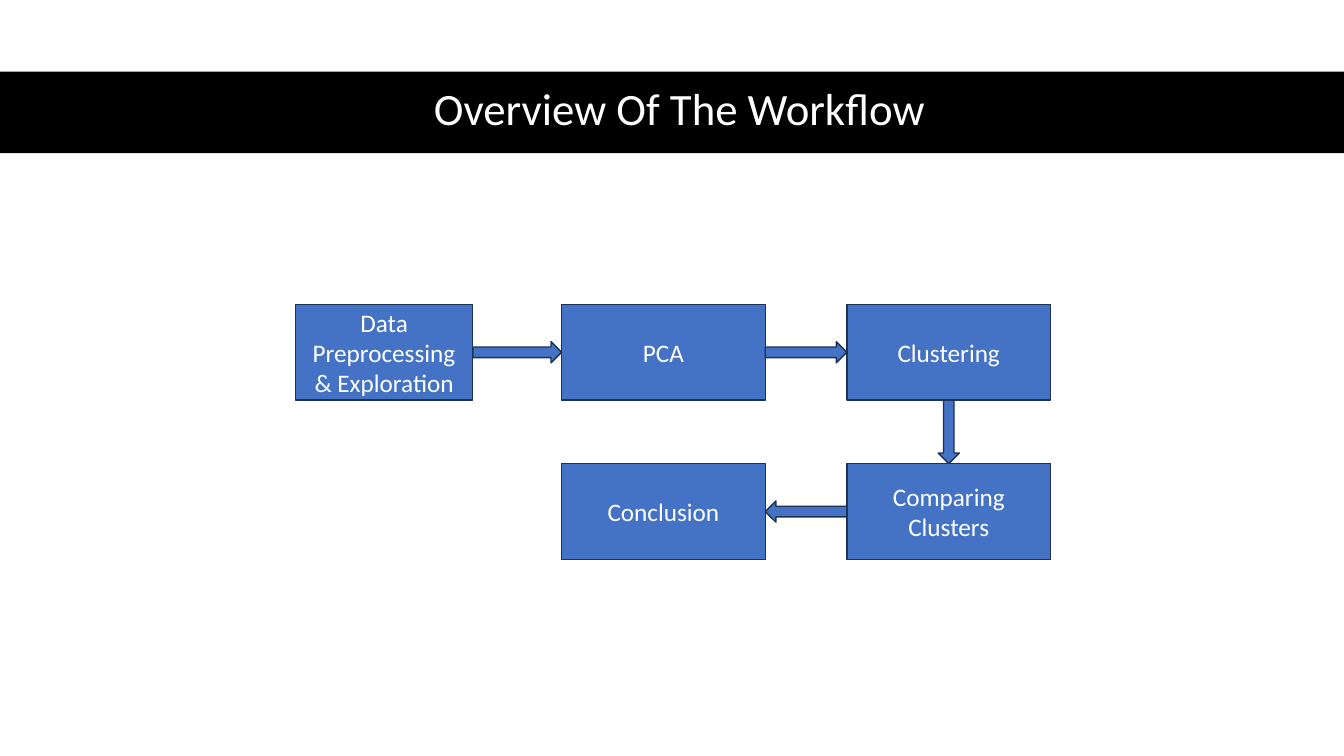
import pptx
import pptx.dml.color
import pptx.enum.shapes
import pptx.enum.text
import pptx.util

Inches = pptx.util.Inches
Shape = pptx.enum.shapes.MSO_SHAPE
BLUE, NAVY, BLACK, WHITE = "4472C4", "1E3256", "000000", "FFFFFF"


def color(value):
    """Turn a hex string into a colour."""
    return pptx.dml.color.RGBColor.from_string(value)


def write(shape, text, size=18, font="Calibri", ink=WHITE, spacing=1.0):
    """Write centred text into a shape."""
    frame = shape.text_frame
    frame.word_wrap = True
    frame.auto_size = pptx.enum.text.MSO_AUTO_SIZE.NONE
    frame.vertical_anchor = pptx.enum.text.MSO_ANCHOR.MIDDLE
    para = frame.paragraphs[0]
    para.alignment = pptx.enum.text.PP_ALIGN.CENTER
    para.line_spacing = spacing
    span = para.add_run()
    span.text = text
    span.font.size = pptx.util.Pt(size)
    span.font.name = font
    span.font.color.rgb = color(ink)


def add_block(page, kind, box, fill=BLUE, line=NAVY):
    """Add a flat filled shape, outlined when a line colour is given."""
    shape = page.shapes.add_shape(kind, *map(Inches, box))
    shape.shadow.inherit = False
    shape.fill.solid()
    shape.fill.fore_color.rgb = color(fill)
    if line:
        shape.line.color.rgb = color(line)
        shape.line.width = pptx.util.Pt(1)
    else:
        shape.line.fill.background()
    return shape


def add_title_band(page, box, text):
    """Lay the title placeholder over a full-width black band."""
    left, top, width, height = box
    add_block(page, Shape.RECTANGLE, box, fill=BLACK, line=None)
    title = page.shapes.title
    title.element.getparent().append(title.element)
    title.left, title.top = Inches(left + 0.61), Inches(top - 0.01)
    title.width, title.height = Inches(12.26), Inches(height)
    write(title, text, size=32, spacing=0.9)


def add_workflow(page, box):
    """Place the steps on a grid and join them with block arrows."""
    left, top, width, height = box
    step_height, step_width, thickness = 0.95, 2.02, 0.21
    right_column = left + width - step_width
    middle_column = left + 2.64
    lower_row = top + height - step_height
    steps = [
        ("Data Preprocessing & Exploration", left, top, 1.76),
        ("PCA", middle_column, top, step_width),
        ("Clustering", right_column, top, step_width),
        ("Comparing Clusters", right_column, lower_row, step_width),
        ("Conclusion", middle_column, lower_row, step_width),
    ]
    for text, x, y, step in steps:
        write(add_block(page, Shape.RECTANGLE, (x, y, step, step_height)), text)

    for (_, x, y, step), (_, next_x, next_y, next_step) in zip(steps, steps[1:]):
        if x == next_x:
            middle = x + (step - thickness) / 2
            gap = next_y - y - step_height
            add_block(page, Shape.DOWN_ARROW, (middle, y + step_height, thickness, gap))
            continue
        start = min(x + step, next_x + next_step)
        middle = y + (step_height - thickness) / 2
        gap = max(x, next_x) - start
        arrow = add_block(page, Shape.RIGHT_ARROW, (start, middle, gap, thickness))
        arrow.rotation = 180 if next_x < x else 0


def main():
    """Build and save the workflow slide."""
    deck = pptx.Presentation()
    deck.slide_width, deck.slide_height = Inches(13.33), Inches(7.5)
    page = deck.slides.add_slide(deck.slide_layouts.get_by_name("Title Only"))
    add_title_band(page, (0, 0.71, 13.33, 0.81), "Overview Of The Workflow")
    add_workflow(page, (2.93, 3.02, 7.49, 2.53))
    deck.save("out.pptx")


if __name__ == "__main__":
    main()
